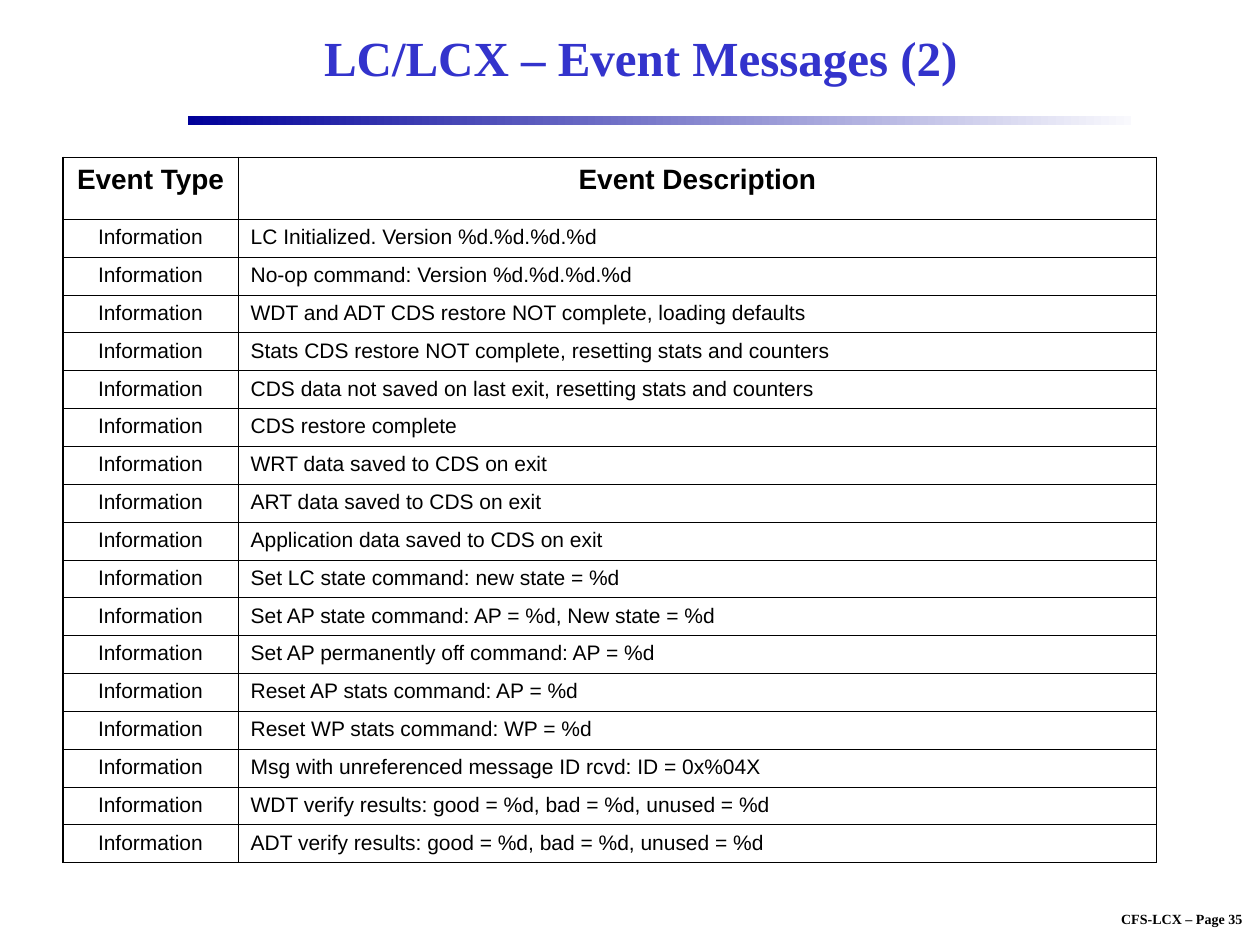
from dataclasses import dataclass

from lxml import etree
from pptx import Presentation
from pptx.dml.color import RGBColor
from pptx.enum.shapes import MSO_SHAPE
from pptx.enum.text import MSO_ANCHOR, MSO_AUTO_SIZE, PP_ALIGN
from pptx.oxml.ns import qn
from pptx.util import Inches, Pt

RECTANGLE = MSO_SHAPE.RECTANGLE
MIDDLE = MSO_ANCHOR.MIDDLE
NO_FIT = MSO_AUTO_SIZE.NONE
CENTER, LEFT = PP_ALIGN.CENTER, PP_ALIGN.LEFT
TITLE_ONLY = 5


@dataclass(frozen=True)
class Theme:
    title_color: str = "3333CC"
    text_color: str = "000000"
    rule_dark: str = "000099"
    rule_light: str = "F9F9FD"
    serif: str = "Times New Roman"
    sans: str = "Arial"
    title_size: int = 28
    header_size: int = 16
    body_size: int = 12
    footer_size: int = 8
    outer_line: float = 1.08
    inner_line: float = 0.45


theme = Theme()


def write(frame, text, name, size, color, bold, align):
    para = frame.paragraphs[0]
    para.text = text
    para.alignment = align
    para.font.name = name
    para.font.size = Pt(size)
    para.font.bold = bold
    para.font.color.rgb = RGBColor.from_string(color)


def add_border(cell, side, width):
    properties = cell._tc.get_or_add_tcPr()
    line = etree.SubElement(properties, qn(f"a:ln{side}"), w=str(Pt(width)))
    fill = etree.SubElement(line, qn("a:solidFill"))
    etree.SubElement(fill, qn("a:srgbClr"), val=theme.text_color)


deck = Presentation()
deck.slide_width, deck.slide_height = Inches(10), Inches(7.5)
page = deck.slides.add_slide(deck.slide_layouts[TITLE_ONLY])

# Page footer
footer = page.shapes.add_textbox(Inches(8.6), Inches(7.18), Inches(1.56), Inches(0.23))
footer.text_frame.word_wrap = False
write(footer.text_frame, "CFS-LCX – Page 35", theme.serif, theme.footer_size,
      theme.text_color, True, CENTER)

# Fading rule under the title
rule = page.shapes.add_shape(RECTANGLE, Inches(1.49), Inches(0.92), Inches(7.49), Inches(0.07))
rule.shadow.inherit = False
rule.line.fill.background()
rule.fill.gradient()
rule.fill.gradient_angle = 180
for stop, color in zip(rule.fill.gradient_stops, (theme.rule_light, theme.rule_dark)):
    stop.color.rgb = RGBColor.from_string(color)

# Title
title = page.shapes.title
title.left, title.top = Inches(1.5), Inches(0.08)
title.width, title.height = Inches(7.17), Inches(0.75)
title.text_frame.auto_size = NO_FIT
title.text_frame.vertical_anchor = MIDDLE
write(title.text_frame, "LC/LCX – Event Messages (2)", theme.serif, theme.title_size,
      theme.title_color, True, CENTER)

# Event table
descriptions = [
    "LC Initialized. Version %d.%d.%d.%d",
    "No-op command: Version %d.%d.%d.%d",
    "WDT and ADT CDS restore NOT complete, loading defaults",
    "Stats CDS restore NOT complete, resetting stats and counters",
    "CDS data not saved on last exit, resetting stats and counters",
    "CDS restore complete",
    "WRT data saved to CDS on exit",
    "ART data saved to CDS on exit",
    "Application data saved to CDS on exit",
    "Set LC state command: new state = %d",
    "Set AP state command: AP = %d, New state = %d",
    "Set AP permanently off command: AP = %d",
    "Reset AP stats command: AP = %d",
    "Reset WP stats command: WP = %d",
    "Msg with unreferenced message ID rcvd: ID = 0x%04X",
    "WDT verify results: good = %d, bad = %d, unused = %d",
    "ADT verify results: good = %d, bad = %d, unused = %d",
]
rows = [("Event Type", "Event Description")]
rows += [("Information", description) for description in descriptions]
last_row = len(rows) - 1

table = page.shapes.add_table(len(rows), 2, Inches(0.5), Inches(1.25),
                              Inches(8.68), Inches(5.6)).table
table.horz_banding = False
table.first_row = False
table.columns[0].width = Inches(1.39)
table.columns[1].width = Inches(7.29)

for row, texts in enumerate(rows):
    is_header = row == 0
    table.rows[row].height = Inches(0.49 if is_header else 0.3)
    for column, text in enumerate(texts):
        cell = table.cell(row, column)
        outer_sides = {"L": column == 0, "R": column == 1, "T": is_header, "B": row == last_row}
        for side, is_outer in outer_sides.items():
            add_border(cell, side, theme.outer_line if is_outer else theme.inner_line)
        cell.fill.background()
        write(cell.text_frame, text, theme.sans,
              theme.header_size if is_header else theme.body_size,
              theme.text_color, is_header, CENTER if is_header or column == 0 else LEFT)

deck.save("out.pptx")
